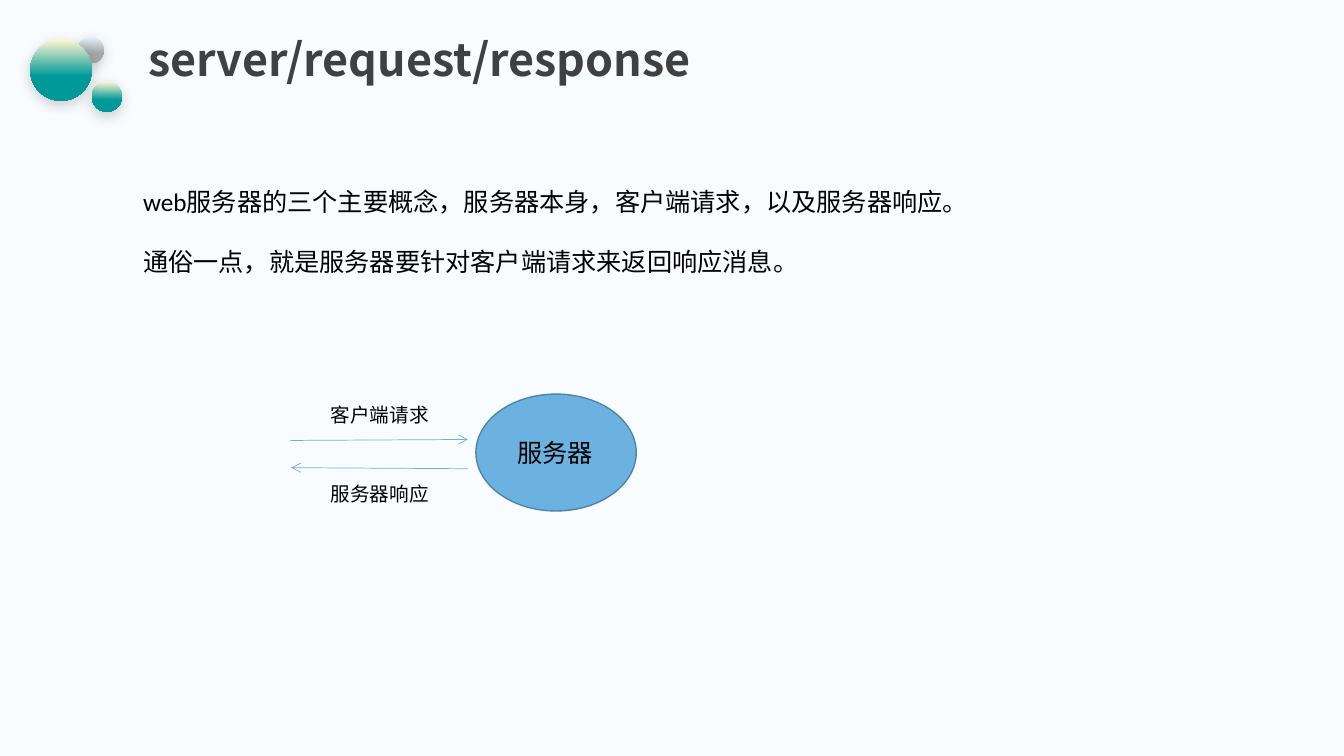
import pptx
import pptx.dml.color
import pptx.enum.shapes
import pptx.enum.text
import pptx.oxml
import pptx.oxml.ns
import pptx.util
from pptx.util import Inches

COLORS = {
    "background": "F8FCFE",
    "title": "404040",
    "text": "000000",
    "server": "6BB2E1",
    "server_line": "4F84A6",
    "pale_blue": "E1F0F9",
    "gray": "A5A5A5",
    "cream": "FFF6CF",
    "teal": "009999",
}
TITLE_FONT = {"name": "Noto Sans CJK SC", "size": pptx.util.Pt(32), "bold": True}
BODY_FONT = {"name": "Calibri", "size": pptx.util.Pt(18)}
LABEL_FONT = {"name": "Calibri", "size": pptx.util.Pt(14)}
NS = pptx.oxml.ns.nsdecls("a")
SHADOW = (
    f'<a:outerShdw {NS} blurRad="127000" dist="38100" dir="5400000" algn="t" '
    'rotWithShape="0"><a:srgbClr val="000000"><a:alpha val="20000"/>'
    "</a:srgbClr></a:outerShdw>"
)


def rgb(name):
    return pptx.dml.color.RGBColor.from_string(COLORS[name])


def set_format(target, values):
    for name, value in values.items():
        setattr(target, name, value)


def box(x, y, w, h):
    return [Inches(v) for v in (x, y, w, h)]


def add_text(p, text, font, color):
    r = p.add_run()
    r.text = text
    set_format(r.font, font)
    r.font.color.rgb = rgb(color)


def format_title(s, text):
    sp = s.shapes.title
    position = box(1.37, 0.33, 11.5, 0.58)
    set_format(sp, dict(zip(("left", "top", "width", "height"), position)))
    tf = sp.text_frame
    set_format(tf, {
        "word_wrap": True,
        "vertical_anchor": pptx.enum.text.MSO_ANCHOR.MIDDLE,
        "auto_size": pptx.enum.text.MSO_AUTO_SIZE.NONE,
    })
    p = tf.paragraphs[0]
    set_format(p, {"alignment": pptx.enum.text.PP_ALIGN.LEFT, "line_spacing": 0.9})
    add_text(p, text, TITLE_FONT, "title")


def add_textbox(s, position, lines, font, gap=0):
    tf = s.shapes.add_textbox(*box(*position)).text_frame
    set_format(tf, {
        "word_wrap": False,
        "auto_size": pptx.enum.text.MSO_AUTO_SIZE.SHAPE_TO_FIT_TEXT,
    })
    for i, line in enumerate(lines):
        p = tf.add_paragraph() if i else tf.paragraphs[0]
        if i:
            p.space_before = pptx.util.Pt(gap)
        add_text(p, line, font, "text")


def add_ellipse(s, position):
    sp = s.shapes.add_shape(pptx.enum.shapes.MSO_SHAPE.OVAL, *box(*position))
    sp.shadow.inherit = False
    return sp


def add_bubble(s, x, y, size, top, bottom):
    sp = add_ellipse(s, (x, y, size, size))
    sp.line.fill.background()
    sp.fill.gradient()
    sp.fill.gradient_angle = 270
    for stop, color, position in zip(sp.fill.gradient_stops, (top, bottom), (0.01, 0.6)):
        stop.color.rgb = rgb(color)
        stop.position = position
    effects = sp._element.spPr.find(pptx.oxml.ns.qn("a:effectLst"))
    effects.append(pptx.oxml.parse_xml(SHADOW))


def add_server(s):
    sp = add_ellipse(s, (4.72, 3.91, 1.59, 1.16))
    sp.fill.solid()
    sp.fill.fore_color.rgb = rgb("server")
    sp.line.color.rgb = rgb("server_line")
    sp.line.width = pptx.util.Pt(1)


def add_arrow(s, *ends):
    cx = s.shapes.add_connector(pptx.enum.shapes.MSO_CONNECTOR.STRAIGHT, *box(*ends))
    cx.line.color.rgb = rgb("server")
    cx.line.width = pptx.util.Pt(0.5)
    cx.line._get_or_add_ln().append(pptx.oxml.parse_xml(f'<a:tailEnd {NS} type="arrow"/>'))
    cx._element.spPr.append(pptx.oxml.parse_xml(f"<a:effectLst {NS}/>"))


def main():
    prs = pptx.Presentation()
    prs.slide_width, prs.slide_height = Inches(13.33), Inches(7.5)
    s = prs.slides.add_slide(prs.slide_layouts[5])
    s.background.fill.solid()
    s.background.fill.fore_color.rgb = rgb("background")

    add_bubble(s, 0.77, 0.37, 0.26, "pale_blue", "gray")
    add_bubble(s, 0.91, 0.81, 0.3, "cream", "teal")
    add_bubble(s, 0.3, 0.39, 0.61, "cream", "teal")
    format_title(s, "server/request/response")
    add_textbox(s, (1.32, 1.8, 8.38, 1.01), [
        "web服务器的三个主要概念，服务器本身，客户端请求，以及服务器响应。",
        "通俗一点，就是服务器要针对客户端请求来返回响应消息。",
    ], BODY_FONT, gap=21)

    add_server(s)
    add_arrow(s, 2.88, 4.37, 4.64, 4.36)
    add_arrow(s, 4.64, 4.65, 2.89, 4.64)
    add_textbox(s, (5.03, 4.29, 0.96, 0.4), ["服务器"], BODY_FONT)
    for y, label in ((3.95, "客户端请求"), (4.73, "服务器响应")):
        add_textbox(s, (3.18, y, 1.2, 0.34), [label], LABEL_FONT)
    prs.save("out.pptx")


if __name__ == "__main__":
    main()
